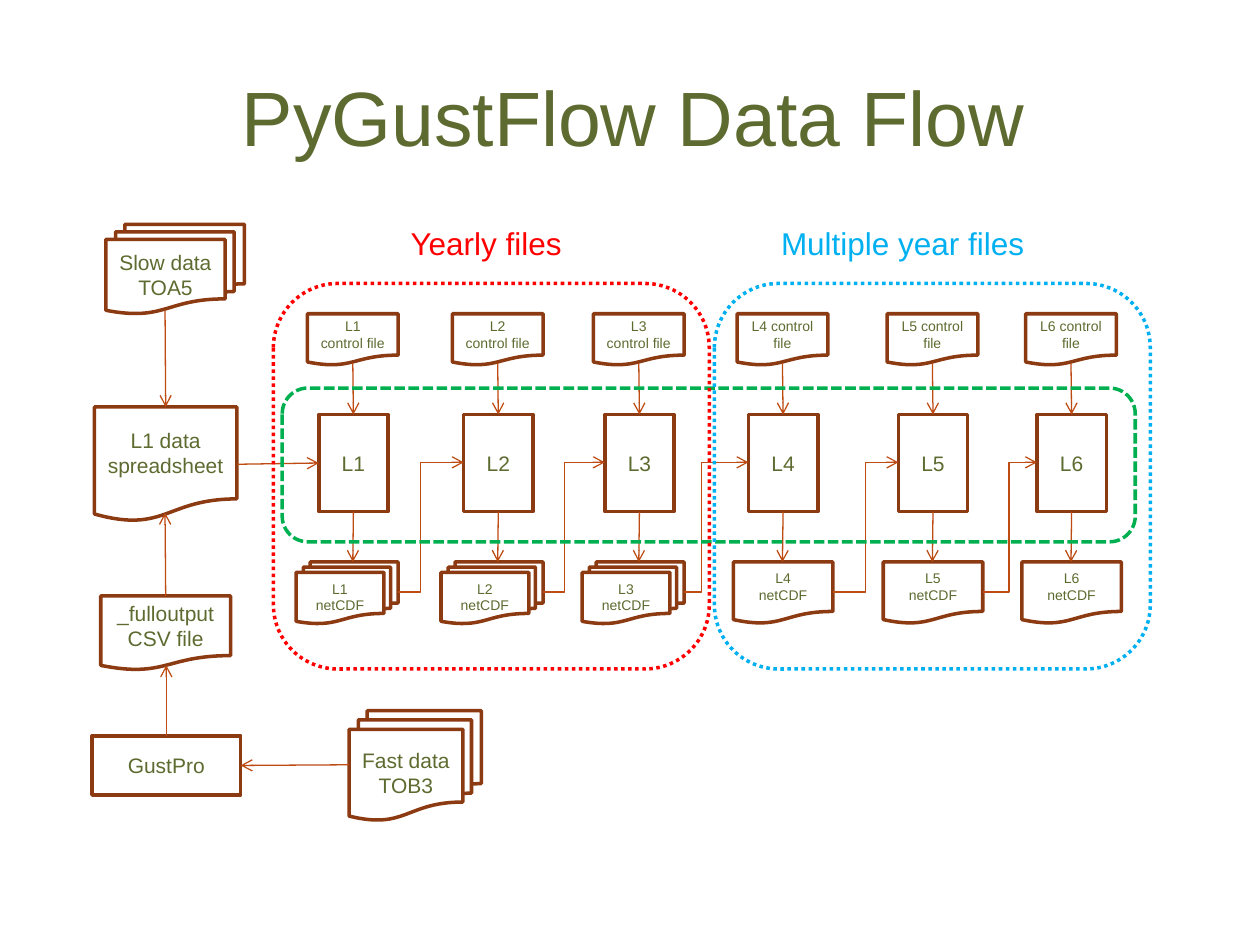
import lxml.etree
import pptx
import pptx.dml.color
import pptx.enum.dml
import pptx.enum.shapes
import pptx.enum.text
import pptx.oxml.ns
import pptx.util

PX = 9144
RGB = pptx.dml.color.RGBColor
FORM = pptx.enum.shapes.MSO_SHAPE
WIRE = pptx.enum.shapes.MSO_CONNECTOR
DASH = pptx.enum.dml.MSO_LINE
ALIGN = pptx.enum.text.PP_ALIGN
MIDDLE = pptx.enum.text.MSO_ANCHOR.MIDDLE
Pt = pptx.util.Pt
qn = pptx.oxml.ns.qn

OLIVE = RGB(0x5D, 0x6B, 0x30)
BROWN = RGB(0x8C, 0x3A, 0x11)
RUST = RGB(0xBD, 0x4B, 0x12)
GREEN = RGB(0x00, 0xB0, 0x50)
RED = RGB(0xFF, 0x00, 0x00)
BLUE = RGB(0x00, 0xB0, 0xF0)

TOP, LEFT, BOTTOM, RIGHT = range(4)
BOX = FORM.FLOWCHART_PROCESS
DOC = FORM.FLOWCHART_DOCUMENT
STACK = FORM.FLOWCHART_MULTIDOCUMENT


def scale(box):
    return [n * PX for n in box]


def write(shape, text, size, color, align=ALIGN.CENTER):
    frame = shape.text_frame
    frame.text = text
    frame.word_wrap = True
    for para in frame.paragraphs:
        para.alignment = align
        for run in para.runs:
            run.font.name = "Arial"
            run.font.size = Pt(size)
            run.font.color.rgb = color


def outline(page, form, box, color):
    shape = page.shapes.add_shape(form, *scale(box))
    shape.shadow.inherit = False
    shape.fill.background()
    shape.line.color.rgb = color
    shape.line.width = Pt(2)
    return shape


def node(page, form, box, text, size=12):
    shape = outline(page, form, box, BROWN)
    write(shape, text, size, OLIVE)
    frame = shape.text_frame
    frame.vertical_anchor = MIDDLE
    frame.margin_left = frame.margin_right = 5 * PX
    return shape


def link(page, start, end, bend=None):
    kind = WIRE.STRAIGHT if bend is None else WIRE.ELBOW
    wire = page.shapes.add_connector(kind, 0, 0, 0, 0)
    if isinstance(start[0], int):
        wire.begin_x, wire.begin_y = scale(start)
    else:
        wire.begin_connect(*start)
    if isinstance(end[0], int):
        wire.end_x, wire.end_y = scale(end)
    else:
        wire.end_connect(*end)
    wire.line.color.rgb = RUST
    wire.line.width = Pt(0.75)
    prop = wire.element.spPr
    lxml.etree.SubElement(prop.find(qn("a:ln")), qn("a:tailEnd"), type="arrow")
    lxml.etree.SubElement(prop, qn("a:effectLst"))
    if bend is not None:
        guides = prop.find(qn("a:prstGeom")).find(qn("a:avLst"))
        share = round((bend - start[0]) / (end[0] - start[0]) * 100000)
        lxml.etree.SubElement(guides, qn("a:gd"), name="adj1", fmla=f"val {share}")


def head(page, box):
    title = page.shapes.title
    title.left, title.top, title.width, title.height = scale(box)
    write(title, "PyGustFlow Data Flow", 44, OLIVE)
    title.text_frame.vertical_anchor = MIDDLE


def feed(page, x, y):
    eddy = node(page, BOX, (x, y + 406, 118, 47), "GustPro")
    node(page, STACK, (x + 204, y + 386, 105, 87), "Fast data\nTOB3")
    text = node(page, DOC, (x + 7, y + 295, 103, 59), "_fulloutput\nCSV file")
    sheet = node(page, DOC, (x + 2, y + 145, 113, 91), "L1 data spreadsheet")
    node(page, STACK, (x + 11, y, 110, 71), "Slow data\nTOA5")
    link(page, (x + 58, y + 68), (sheet, TOP))
    link(page, (text, TOP), (x + 58, y + 229))
    link(page, (eddy, TOP), (x + 59, y + 350))
    link(page, (x + 204, y + 429), (eddy, RIGHT))
    return sheet


def stage(page, x, y, name, yearly):
    step = node(page, BOX, (x, y + 80, 55, 77), name)
    gap = "\n" if yearly else " "
    node(page, DOC, (x - 9, y, 72, 41), f"{name}{gap}control file", 8)
    form, shift, width = (STACK, 18, 81) if yearly else (DOC, 12, 79)
    node(page, form, (x - shift, y + 197, width, 49), f"{name}\nnetCDF", 8)
    link(page, (x + 27, y + 39), (step, TOP))
    link(page, (step, BOTTOM), (x + 27, y + 197))
    return step, x - shift + width


def flow(page, y, sheet):
    lefts = [253, 368, 480, 594, 713, 823]
    bends = [334, 448, 557, 687, 801]
    edge = None
    for i, x in enumerate(lefts):
        step, right = stage(page, x, y, f"L{i + 1}", i < 3)
        if edge is None:
            link(page, (sheet, RIGHT), (step, LEFT))
        else:
            link(page, (edge, y + 221), (x, y + 118), bends[i - 1])
        edge = right


def zone(page, box, color, dash):
    shape = outline(page, FORM.ROUNDED_RECTANGLE, box, color)
    shape.line.dash_style = dash


def span(page, x, y, text, color, shift, width):
    zone(page, (x, y + 52, 346, 306), color, DASH.ROUND_DOT)
    label = page.shapes.add_textbox(*scale((x + shift, y, width, 40)))
    write(label, text, 18, color, ALIGN.LEFT)


def main():
    deck = pptx.Presentation()
    deck.slide_width, deck.slide_height = scale((1000, 750))
    page = deck.slides.add_slide(deck.slide_layouts[5])
    head(page, (53, 29, 900, 125))
    sheet = feed(page, 73, 178)
    flow(page, 249, sheet)
    zone(page, (224, 308, 677, 122), GREEN, DASH.SQUARE_DOT)
    span(page, 217, 173, "Yearly files", RED, 99, 152)
    span(page, 567, 173, "Multiple year files", BLUE, 43, 228)
    deck.save("out.pptx")


if __name__ == "__main__":
    main()
